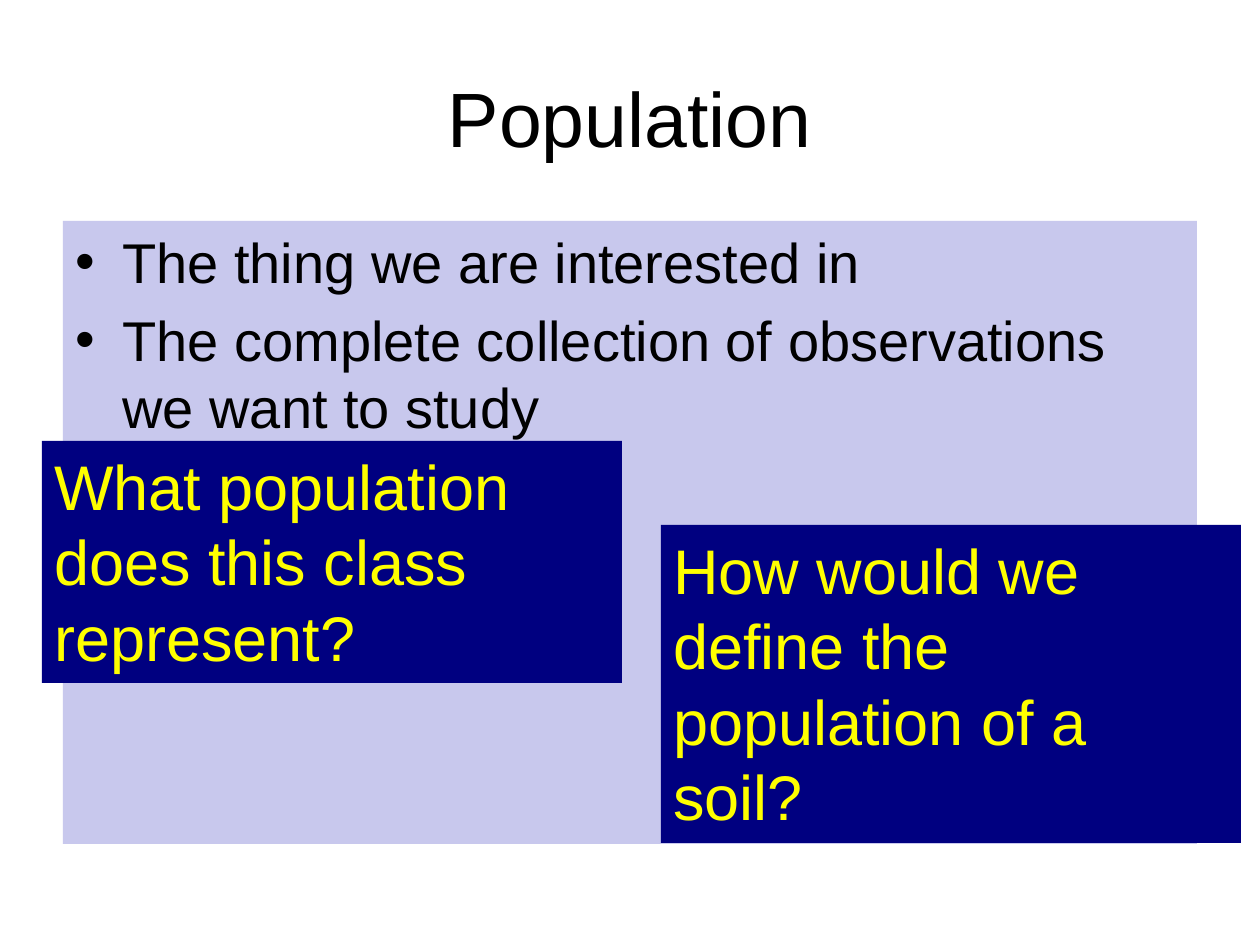
from dataclasses import dataclass
from typing import Optional

from pptx import Presentation
from pptx.dml.color import RGBColor as RGB
from pptx.enum.shapes import MSO_SHAPE as Shape
from pptx.enum.text import MSO_ANCHOR as Anchor, MSO_AUTO_SIZE as AutoSize, PP_ALIGN as Align
from pptx.oxml.ns import qn
from pptx.util import Emu, Pt
from lxml.etree import SubElement

PX_PER_INCH = 126


@dataclass(frozen=True)
class Theme:
    font: str = "Arial"
    ink: str = "000000"
    panel: str = "9C9CDF"
    panel_alpha: int = 55
    question_fill: str = "000080"
    question_ink: str = "FFFF00"
    title_size: int = 44
    body_size: int = 32
    question_size: int = 36


@dataclass(frozen=True)
class Box:
    left: int
    top: int
    width: int
    height: int


@dataclass(frozen=True)
class Question:
    text: str
    box: Box


THEME = Theme()
TITLE_BOX = Box(63, 38, 1134, 157)
BODY_BOX = Box(63, 221, 1134, 623)
BODY_LINES = [
    "The thing we are interested in",
    "The complete collection of observations we want to study",
]
QUESTIONS = [
    Question("What population does this class represent?", Box(42, 441, 580, 242)),
    Question("How would we define the population of a soil?", Box(661, 525, 580, 318)),
]


def px(n: int) -> Emu:
    return Emu(round(n * 914400 / PX_PER_INCH))


def place(box: Box) -> tuple[Emu, Emu, Emu, Emu]:
    return px(box.left), px(box.top), px(box.width), px(box.height)


def add_panel(slide, box: Box, color: str, alpha: Optional[int] = None):
    sp = slide.shapes.add_shape(Shape.RECTANGLE, *place(box))
    sp.shadow.inherit = False
    sp.line.fill.background()
    sp.fill.solid()
    sp.fill.fore_color.rgb = RGB.from_string(color)
    if alpha is not None:
        clr = sp.fill._xPr.find(qn("a:solidFill")).find(qn("a:srgbClr"))
        SubElement(clr, qn("a:alpha"), val=str(alpha * 1000))
    return sp


def bullet(p, indent: int = 47, before_pct: int = 20) -> None:
    """Give a paragraph a hanging bullet and proportional space before it."""
    pPr = p._p.get_or_add_pPr()
    pPr.set("marL", str(px(indent)))
    pPr.set("indent", str(-px(indent)))
    before = SubElement(pPr, qn("a:spcBef"))
    SubElement(before, qn("a:spcPct"), val=str(before_pct * 1000))
    SubElement(pPr, qn("a:buFont"), typeface=THEME.font)
    SubElement(pPr, qn("a:buChar"), char="•")


def write(sp, lines: list[str], *, size: int, color: str = THEME.ink,
          align: Align = Align.LEFT, anchor: Anchor = Anchor.TOP,
          bullets: bool = False, grow: bool = False) -> None:
    tf = sp.text_frame
    tf.word_wrap = True
    tf.vertical_anchor = anchor
    tf.auto_size = AutoSize.SHAPE_TO_FIT_TEXT if grow else AutoSize.NONE
    for i, line in enumerate(lines):
        p = tf.add_paragraph() if i else tf.paragraphs[0]
        p.alignment = align
        if bullets:
            bullet(p)
        r = p.add_run()
        r.text = line
        r.font.name = THEME.font
        r.font.size = Pt(size)
        r.font.color.rgb = RGB.from_string(color)


def main() -> None:
    prs = Presentation()
    prs.slide_width, prs.slide_height = px(1260), px(945)
    slide = prs.slides.add_slide(prs.slide_layouts[6])

    title = slide.shapes.add_textbox(*place(TITLE_BOX))
    write(title, ["Population"], size=THEME.title_size,
          align=Align.CENTER, anchor=Anchor.MIDDLE)

    body = add_panel(slide, BODY_BOX, THEME.panel, THEME.panel_alpha)
    write(body, BODY_LINES, size=THEME.body_size, bullets=True)

    for question in QUESTIONS:
        sp = add_panel(slide, question.box, THEME.question_fill)
        write(sp, [question.text], size=THEME.question_size,
              color=THEME.question_ink, grow=True)

    prs.save("out.pptx")


if __name__ == "__main__":
    main()
